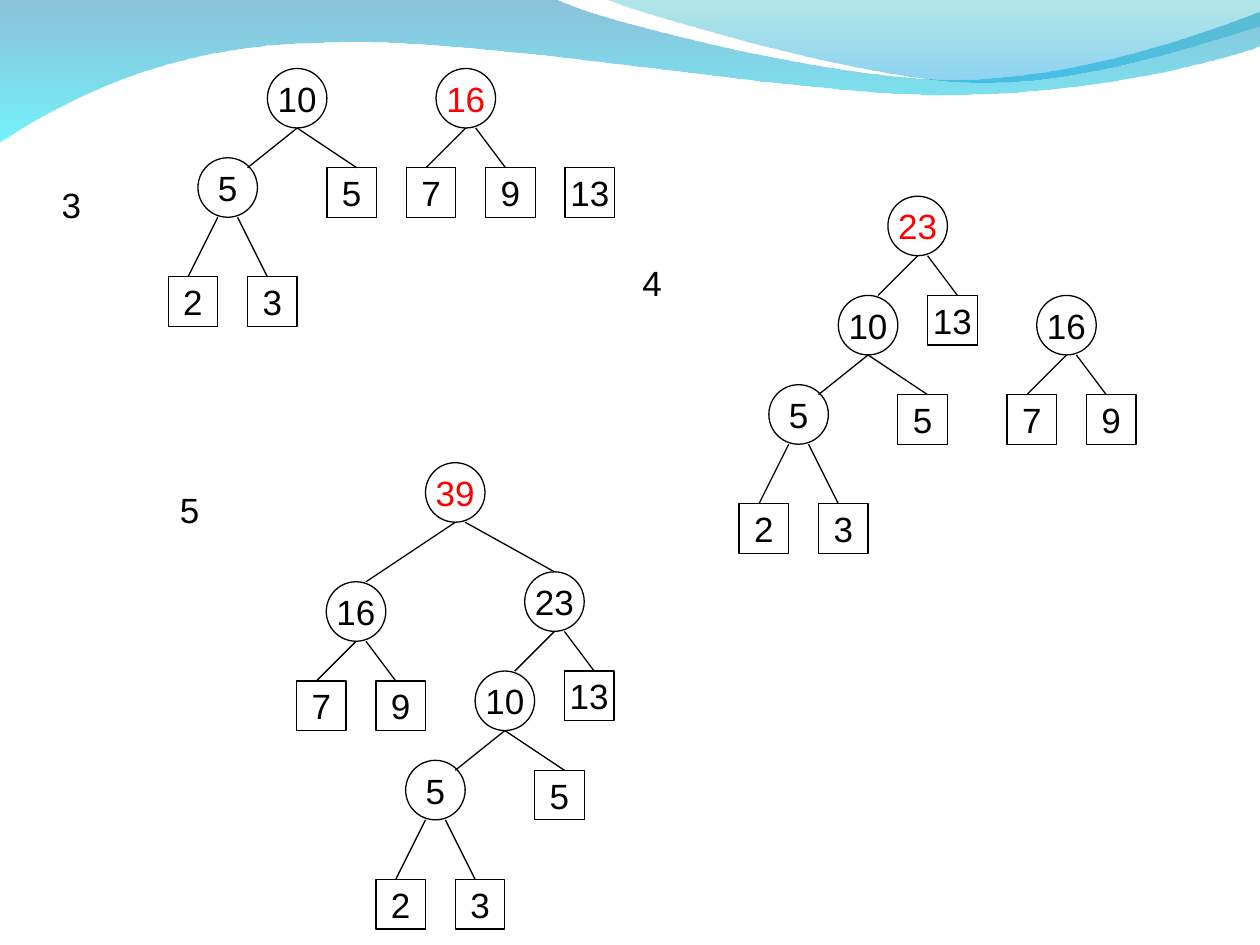
from dataclasses import dataclass

from lxml.etree import SubElement
from pptx import Presentation
from pptx.dml.color import RGBColor
from pptx.enum.shapes import MSO_CONNECTOR, MSO_SHAPE
from pptx.enum.text import MSO_ANCHOR, MSO_AUTO_SIZE, PP_ALIGN
from pptx.oxml.ns import qn
from pptx.shapes.shapetree import GroupShapes, SlideShapes
from pptx.text.text import TextFrame
from pptx.util import Inches, Pt

BLACK = RGBColor(0x00, 0x00, 0x00)
RED = RGBColor(0xFF, 0x00, 0x00)
WAVE_BLUE = RGBColor(0x00, 0x79, 0xAF)
WAVE_CYAN = RGBColor(0x00, 0xEB, 0xF8)
CREST_TEAL = RGBColor(0x00, 0xAD, 0xB6)
CREST_BLUE = RGBColor(0x00, 0x9B, 0xE5)

# The trees stand on a 2 mm grid; their lengths are counted in grid cells.
GRID = 2 / 25.4
CIRCLE_CELLS = 6
BOX_CELLS = 5
LINE_WIDTH = Pt(0.75)

Point = tuple[float, float]
Cell = tuple[int, int]


@dataclass(frozen=True)
class Branch:
    """A child and its edge, in cells from the parent's top-left corner."""
    child: "Node"
    offset: Cell
    edge_start: Cell
    edge_end: Cell


@dataclass(frozen=True)
class Node:
    """A leaf is drawn as a box, a node with branches as a circle."""
    value: int
    branches: tuple[Branch, ...] = ()


@dataclass(frozen=True)
class Step:
    """Label corner in inches, and trees in cells from that corner."""
    number: int
    label_at: Point
    trees: tuple[tuple[Node, Cell], ...]
    merged: int


@dataclass(frozen=True)
class Wave:
    """Segments hold one point for a line, three for a Bezier curve."""
    start: Point
    segments: tuple[tuple[Point, ...], ...]
    stops: tuple[tuple[RGBColor, int], ...]


NODE_5 = Node(5, (
    Branch(Node(2), (-3, 12), (2, 6), (-1, 12)),
    Branch(Node(3), (5, 12), (4, 6), (7, 12)),
))
NODE_10 = Node(10, (
    Branch(NODE_5, (-7, 9), (3, 6), (-2, 10)),
    Branch(Node(5), (6, 10), (3, 6), (9, 10)),
))
NODE_16 = Node(16, (
    Branch(Node(7), (-3, 10), (3, 6), (-1, 10)),
    Branch(Node(9), (5, 10), (4, 6), (7, 10)),
))
NODE_23 = Node(23, (
    Branch(NODE_10, (-5, 10), (3, 6), (-1, 10)),
    Branch(Node(13), (4, 10), (4, 6), (7, 10)),
))
NODE_39 = Node(39, (
    Branch(NODE_16, (-10, 12), (3, 6), (-6, 12)),
    Branch(NODE_23, (10, 11), (4, 6), (13, 11)),
))

STEPS = (
    Step(3, (0.39, 1.41), ((NODE_10, (22, -11)), (NODE_16, (39, -11)),
                           (Node(13), (52, -1))), merged=16),
    Step(4, (5, 2.03), ((NODE_23, (26, -6)), (NODE_16, (41, 4))), merged=23),
    Step(5, (1.33, 3.83), ((NODE_39, (26, -2)),), merged=39),
)

WAVES = (
    Wave((0, -0.01), (
        ((4.4, -0.01),),
        ((4.76, 0.17), (6.64, 0.63), (7.58, 0.63)),
        ((8.53, 0.63), (9.58, 0.26), (10, 0.09)),
        ((10.01, 0.36),),
        ((9.83, 0.44), (8.7, 0.76), (7.46, 0.75)),
        ((6.22, 0.75), (3.82, 0.28), (2.57, 0.34)),
        ((1.29, 0.35), (0.46, 0.83), (-0.01, 1.13)),
    ), ((WAVE_BLUE, 45), (WAVE_CYAN, 55))),
    Wave((4.79, -0.01), (
        ((5.09, 0.11), (6.82, 0.62), (7.69, 0.65)),
        ((8.56, 0.69), (9.61, 0.32), (10, 0.21)),
        ((10, 0),),
    ), ((CREST_TEAL, 30), (CREST_BLUE, 45))),
)


def shift(origin: Point, cells: Cell) -> Point:
    return origin[0] + cells[0] * GRID, origin[1] + cells[1] * GRID


def draw_wave(shapes: SlideShapes, wave: Wave) -> None:
    builder = shapes.build_freeform(Inches(wave.start[0]), Inches(wave.start[1]))
    for segment in wave.segments:
        builder.add_line_segments([(Inches(x), Inches(y)) for x, y in segment], close=False)
    builder.add_line_segments([], close=True)
    shape = builder.convert_to_shape()
    bend_segments(shape._element, wave)
    shape.shadow.inherit = False
    shape.line.fill.background()
    shape.fill.gradient()
    shape.fill.gradient_angle = 270
    for stop, (color, _) in zip(shape.fill.gradient_stops, wave.stops):
        stop.color.rgb = color
    colors = shape._element.spPr.iter(qn("a:srgbClr"))
    for element, (_, opacity) in zip(colors, wave.stops):
        SubElement(element, qn("a:alpha")).set("val", str(opacity * 1000))


def bend_segments(element, wave: Wave) -> None:
    """Turn each run of three line points into one cubic curve."""
    lines = iter(list(element.iter(qn("a:lnTo"))))
    for segment in wave.segments:
        first, *others = [next(lines) for _ in segment]
        if others:
            first.tag = qn("a:cubicBezTo")
        for line in others:
            first.append(line[0])
            line.getparent().remove(line)


def write_number(frame: TextFrame, number: int, color: RGBColor) -> None:
    run = frame.paragraphs[0].add_run()
    run.text = str(number)
    run.font.name = "Arial"
    run.font.size = Pt(20)
    run.font.color.rgb = color


def draw_edge(shapes: GroupShapes, start: Point, end: Point) -> None:
    ends = [Inches(value) for value in (*start, *end)]
    edge = shapes.add_connector(MSO_CONNECTOR.STRAIGHT, *ends)
    edge.line.color.rgb = BLACK
    edge.line.width = LINE_WIDTH
    SubElement(edge._element.spPr, qn("a:effectLst"))


def draw_tree(shapes: GroupShapes, node: Node, at: Point, merged: int) -> None:
    """Draw a node and everything below it, with the merged value in red."""
    kind, cells = ((MSO_SHAPE.OVAL, CIRCLE_CELLS) if node.branches
                   else (MSO_SHAPE.RECTANGLE, BOX_CELLS))
    size = Inches(cells * GRID)
    shape = shapes.add_shape(kind, Inches(at[0]), Inches(at[1]), size, size)
    shape.shadow.inherit = False
    shape.fill.background()
    shape.line.color.rgb = BLACK
    shape.line.width = LINE_WIDTH
    frame = shape.text_frame
    frame.word_wrap = False
    frame.vertical_anchor = MSO_ANCHOR.MIDDLE
    frame.paragraphs[0].alignment = PP_ALIGN.CENTER
    write_number(frame, node.value, RED if node.value == merged else BLACK)
    for branch in node.branches:
        draw_tree(shapes, branch.child, shift(at, branch.offset), merged)
        draw_edge(shapes, shift(at, branch.edge_start), shift(at, branch.edge_end))


def draw_step(shapes: SlideShapes, step: Step) -> None:
    group = shapes.add_group_shape()
    left, top = step.label_at
    label = group.shapes.add_textbox(Inches(left), Inches(top), Inches(0.94), Inches(0.44))
    label.text_frame.word_wrap = True
    label.text_frame.auto_size = MSO_AUTO_SIZE.SHAPE_TO_FIT_TEXT
    label.text_frame.paragraphs[0].space_before = Pt(12.5)
    write_number(label.text_frame, step.number, BLACK)
    for root, cells in step.trees:
        draw_tree(group.shapes, root, shift(step.label_at, cells), step.merged)


def main() -> None:
    presentation = Presentation()
    presentation.slide_width, presentation.slide_height = Inches(10), Inches(7.5)
    slide = presentation.slides.add_slide(presentation.slide_layouts[6])
    for wave in WAVES:
        draw_wave(slide.shapes, wave)
    for step in STEPS:
        draw_step(slide.shapes, step)
    presentation.save("out.pptx")


if __name__ == "__main__":
    main()
